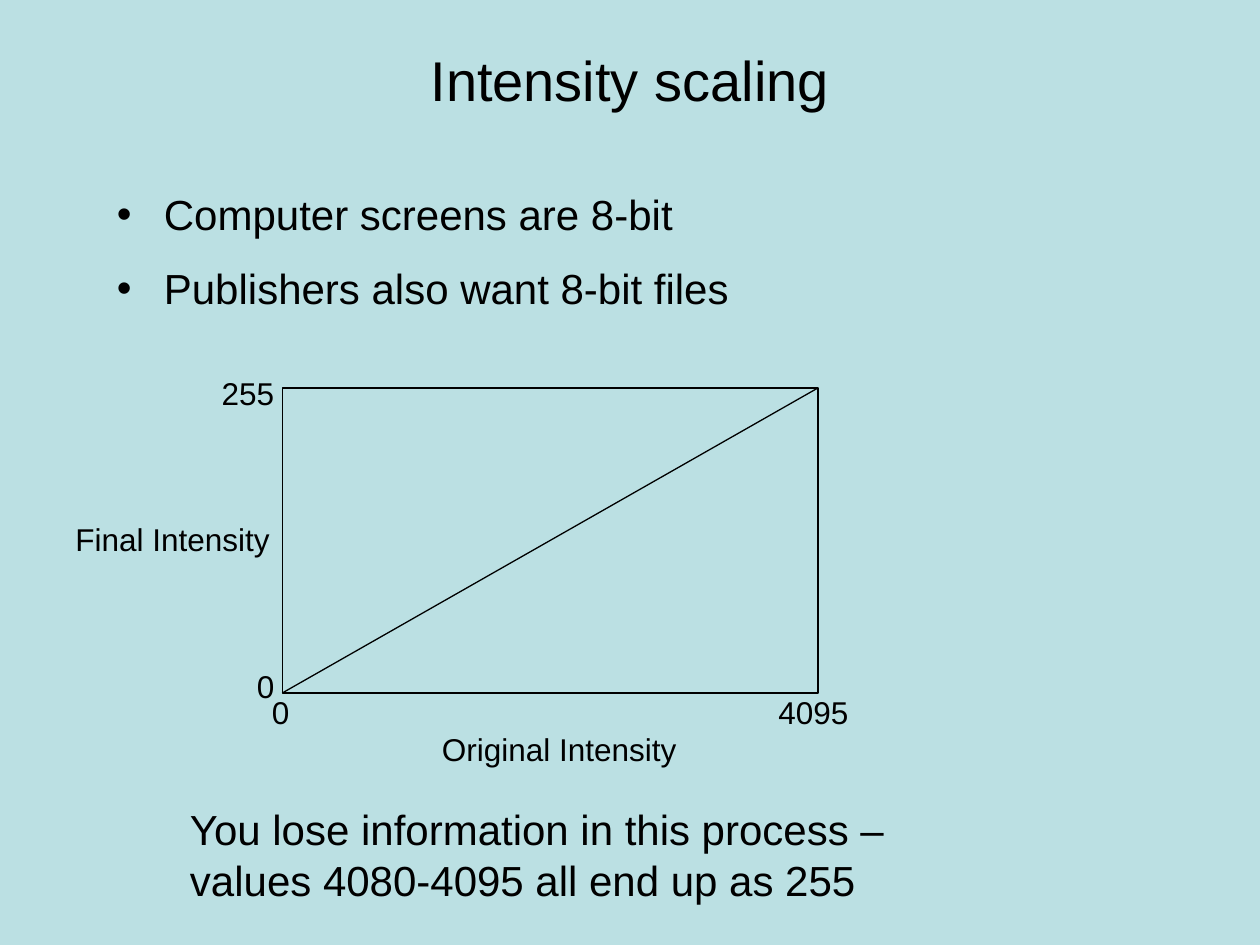
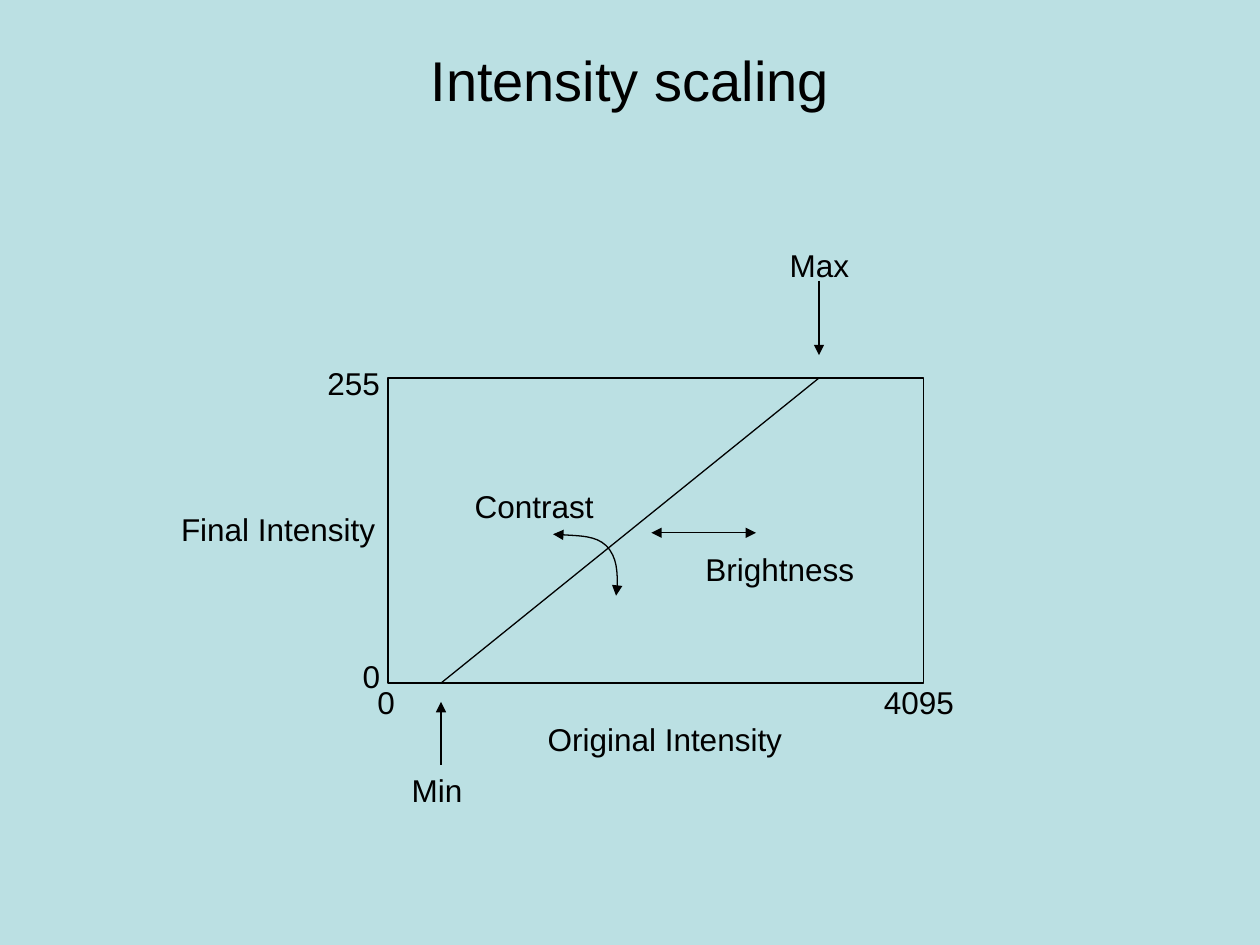
from lxml import etree
from pptx import Presentation
from pptx.dml.color import RGBColor
from pptx.enum import shapes, text
from pptx.oxml import ns
from pptx.util import Cm, Pt

PALE = RGBColor(0xBB, 0xE0, 0xE3)
BLACK = RGBColor(0, 0, 0)
FONT = "Arial"
WIDE, HIGH = 10.8, 6.15  # size of the plot frame, in cm
LINE = 1.02  # height of a one-line label, in cm


class Deck:
    def __init__(self):
        self.prs = Presentation()
        self.prs.slide_width, self.prs.slide_height = Cm(25.4), Cm(19.05)
        fill = self.prs.slide_master.background.fill
        fill.solid()
        fill.fore_color.rgb = PALE
        self.slide = None

    def start(self, layout, title):
        self.slide = self.prs.slides.add_slide(self.prs.slide_layouts[layout])
        head = self.slide.shapes.title
        self.place(head, 1.27, 0, 22.86, 3.18)
        frame = head.text_frame
        frame.text = title
        frame.vertical_anchor = text.MSO_ANCHOR.MIDDLE
        frame.paragraphs[0].alignment = text.PP_ALIGN.CENTER
        self.style(frame, 32)

    def place(self, shape, x, y, wide, high):
        shape.left, shape.top = Cm(x), Cm(y)
        shape.width, shape.height = Cm(wide), Cm(high)

    def style(self, frame, size):
        frame.auto_size = text.MSO_AUTO_SIZE.NONE
        for para in frame.paragraphs:
            for run in para.runs:
                run.font.name, run.font.size = FONT, Pt(size)
                run.font.color.rgb = BLACK

    def list(self, items):
        body = self.slide.placeholders[1]
        self.place(body, 2.1, 3.68, 22.86, 12.57)
        frame = body.text_frame
        frame.text = "\n".join(items)
        for i, para in enumerate(frame.paragraphs):
            props = para._p.get_or_add_pPr()
            props.set("marL", str(Cm(0.95)))
            props.set("indent", str(Cm(-0.95)))
            para.space_before = Pt(13.5 if i else 0)
        self.style(frame, 24)

    def label(self, words, x, y, wide, high=LINE, size=18):
        box = self.slide.shapes.add_textbox(Cm(x), Cm(y), Cm(wide), Cm(high))
        frame = box.text_frame
        frame.text = words
        frame.word_wrap = False
        self.style(frame, size)

    def draw(self, shape, ends=()):
        """Give a shape its black outline and arrowheads at the named ends."""
        shape.line.color.rgb = BLACK
        shape.line.width = Pt(0.75)
        line = shape.element.spPr.find(ns.qn("a:ln"))
        for end in ends:
            etree.SubElement(line, ns.qn(f"a:{end}End"), type="triangle")

    def frame(self, x, y):
        rect = self.slide.shapes.add_shape(
            shapes.MSO_SHAPE.RECTANGLE, Cm(x), Cm(y), Cm(WIDE), Cm(HIGH))
        rect.shadow.inherit = False
        rect.fill.background()
        self.draw(rect)

    def line(self, x1, y1, x2, y2, ends=()):
        link = self.slide.shapes.add_connector(
            shapes.MSO_CONNECTOR.STRAIGHT, Cm(x1), Cm(y1), Cm(x2), Cm(y2))
        self.draw(link, ends)
        etree.SubElement(link.element.spPr, ns.qn("a:effectLst"))

    def curve(self, points, ends):
        """Draw Bezier arcs: a start point, then three points for each arc."""
        spots = [(Cm(x), Cm(y)) for x, y in points]
        build = self.slide.shapes.build_freeform(*spots[0])
        build.add_line_segments(spots[1:], close=False)
        shape = build.convert_to_shape()
        steps = list(shape.element.iter(ns.qn("a:lnTo")))
        for i in range(0, len(steps), 3):
            arc = etree.Element(ns.qn("a:cubicBezTo"))
            steps[i].addprevious(arc)
            for step in steps[i:i + 3]:
                arc.append(step[0])
                step.getparent().remove(step)
        shape.shadow.inherit = False
        shape.fill.background()
        self.draw(shape, ends)

    def plot(self, x, y, low, high):
        """Draw the frame, axis labels and a ramp from x = low to x = high."""
        self.frame(x, y)
        for words, dx, dy, wide in (
            ("0", -0.46, 6.03, 0.86),
            ("4095", 9.75, 6.03, 1.93),
            ("0", -0.76, 5.51, 0.86),
            ("255", -1.47, -0.41, 1.57),
            ("Original Intensity", 2.97, 6.78, 5.23),
            ("Final Intensity", -4.42, 2.54, 4.42),
        ):
            self.label(words, x + dx, y + dy, wide)
        self.line(low, y + HIGH, high, y)


def main():
    deck = Deck()
    title = "Intensity scaling"
    both = ("head", "tail")

    deck.start(1, title)
    deck.list(["Computer screens are 8-bit", "Publishers also want 8-bit files"])
    left = 5.69
    deck.plot(left, 7.82, left, left + WIDE)
    deck.label("You lose information in this process –\n"
               "values 4080-4095 all end up as 255", 3.58, 16.08, 14.83, 2.29, 24)

    deck.start(5, title)
    low, high = 8.89, 16.51
    deck.plot(7.82, 7.62, low, high)
    deck.line(low, 15.42, low, 14.15, ["tail"])
    deck.line(high, 5.66, high, 7.16, ["tail"])
    deck.line(13.13, 10.74, 15.24, 10.74, both)
    deck.curve([(11.15, 10.77), (11.58, 10.8), (12.01, 10.8), (12.22, 11),
                (12.45, 11.23), (12.47, 11.84), (12.42, 12.01)], both)
    deck.label("Min", 8.05, 15.42, 1.52)
    deck.label("Max", 15.67, 4.83, 1.7)
    deck.label("Brightness", 13.97, 10.97, 3.51)
    deck.label("Contrast", 9.32, 9.7, 2.92)

    deck.prs.save("out.pptx")


if __name__ == "__main__":
    main()
